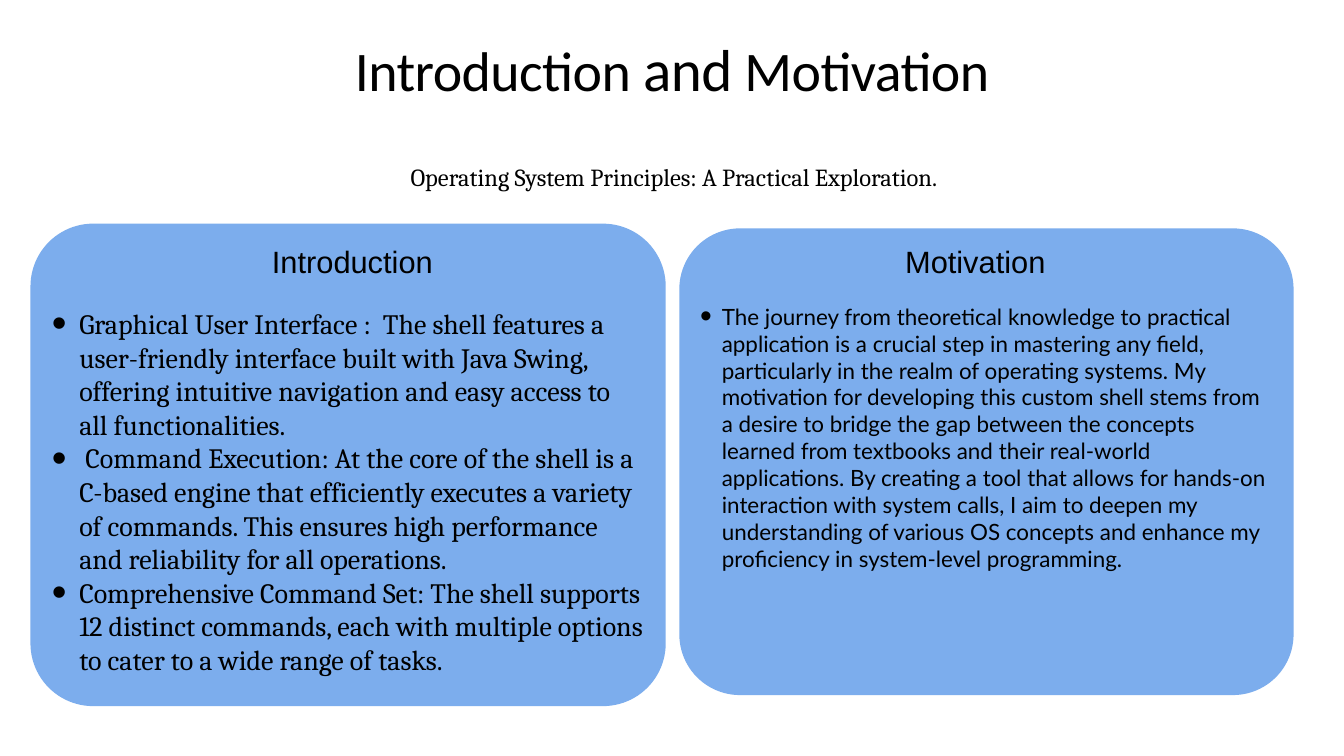
from lxml.etree import SubElement
from pptx import Presentation
from pptx.dml.color import RGBColor
from pptx.enum.shapes import MSO_SHAPE as SHAPE
from pptx.enum.text import MSO_ANCHOR as ANCHOR, PP_ALIGN as ALIGN
from pptx.oxml.ns import qn
from pptx.util import Pt

PX = 9525  # EMU per px, 96 px to the inch
INSET = 6
COLORS = {"text": "000000", "card": "7CADED"}

prs = Presentation()
prs.slide_width, prs.slide_height = 2560 * PX, 1440 * PX
slide = prs.slides.add_slide(prs.slide_layouts[6])


def set_frame(shape, anchor=ANCHOR.TOP, top=INSET):
    frame = shape.text_frame
    frame.word_wrap = True
    frame.vertical_anchor = anchor
    frame.margin_left = frame.margin_right = frame.margin_bottom = INSET * PX
    frame.margin_top = top * PX
    return frame


def add_run(paragraph, text, font, size):
    run = paragraph.add_run()
    run.text = text
    run.font.name = font
    run.font.size = Pt(size)
    run.font.color.rgb = RGBColor.from_string(COLORS["text"])
    return run


# Title and subtitle
title_box = slide.shapes.add_textbox(128 * PX, 82 * PX, 2304 * PX, 181 * PX)
title = set_frame(title_box).paragraphs[0]
title.alignment = ALIGN.CENTER
title.line_spacing = 0.8
for words, size in [("Introduction ", 79.8), ("and", 84.5), (" Motivation", 79.8)]:
    title_run = add_run(title, words, "Calibri", size)
    title_run.font._element.set("spc", "-80")

subtitle_box = slide.shapes.add_textbox(132 * PX, 302 * PX, 2304 * PX, 84 * PX)
subtitle = set_frame(subtitle_box).paragraphs[0]
subtitle.alignment = ALIGN.CENTER
add_run(subtitle, "Operating System Principles: A Practical Exploration.", "Cambria", 35)

# Cards: heading, heading box, card box, top inset, bullet indent, font, size, points
cards = [
    ("Motivation", (1718, 452, 307, 98), (1294, 435, 1170, 889), 108, 41, "Lato", 32, [
        "The journey from theoretical knowledge to practical application is a crucial "
        "step in mastering any field, particularly in the realm of operating systems. "
        "My motivation for developing this custom shell stems from a desire to bridge "
        "the gap between the concepts learned from textbooks and their real-world "
        "applications. By creating a tool that allows for hands-on interaction with "
        "system calls, I aim to deepen my understanding of various OS concepts and "
        "enhance my proficiency in system-level programming.",
    ]),
    ("Introduction", (512, 452, 350, 98), (58, 426, 1210, 919), 123, 52, "Cambria", 40, [
        "Graphical User Interface :  The shell features a user-friendly interface built "
        "with Java Swing, offering intuitive navigation and easy access to all "
        "functionalities.",
        " Command Execution: At the core of the shell is a C-based engine that "
        "efficiently executes a variety of commands. This ensures high performance and "
        "reliability for all operations.",
        "Comprehensive Command Set: The shell supports 12 distinct commands, each with "
        "multiple options to cater to a wide range of tasks.",
    ]),
]

for heading, heading_box, card_box, top, indent, font, size, points in cards:
    card = slide.shapes.add_shape(SHAPE.ROUNDED_RECTANGLE, *(n * PX for n in card_box))
    card.adjustments[0] = 0.13
    card.shadow.inherit = False
    card.fill.solid()
    card.fill.fore_color.rgb = RGBColor.from_string(COLORS["card"])
    card.line.fill.background()

    frame = set_frame(card, top=top)
    for i, point in enumerate(points):
        bullet = frame.add_paragraph() if i else frame.paragraphs[0]
        bullet.alignment = ALIGN.LEFT
        add_run(bullet, point, font, size)
        props = bullet._p.get_or_add_pPr()
        props.set("marL", str(indent * PX))
        props.set("indent", str(-indent * PX))
        SubElement(props, qn("a:buSzPct"), val="150000")
        SubElement(props, qn("a:buFont"), typeface="Arial")
        SubElement(props, qn("a:buChar"), char="•")

    label = slide.shapes.add_textbox(*(n * PX for n in heading_box))
    label_text = set_frame(label, ANCHOR.MIDDLE).paragraphs[0]
    label_text.line_spacing = 0.9
    add_run(label_text, heading, "Arial", 44)

prs.save("out.pptx")
